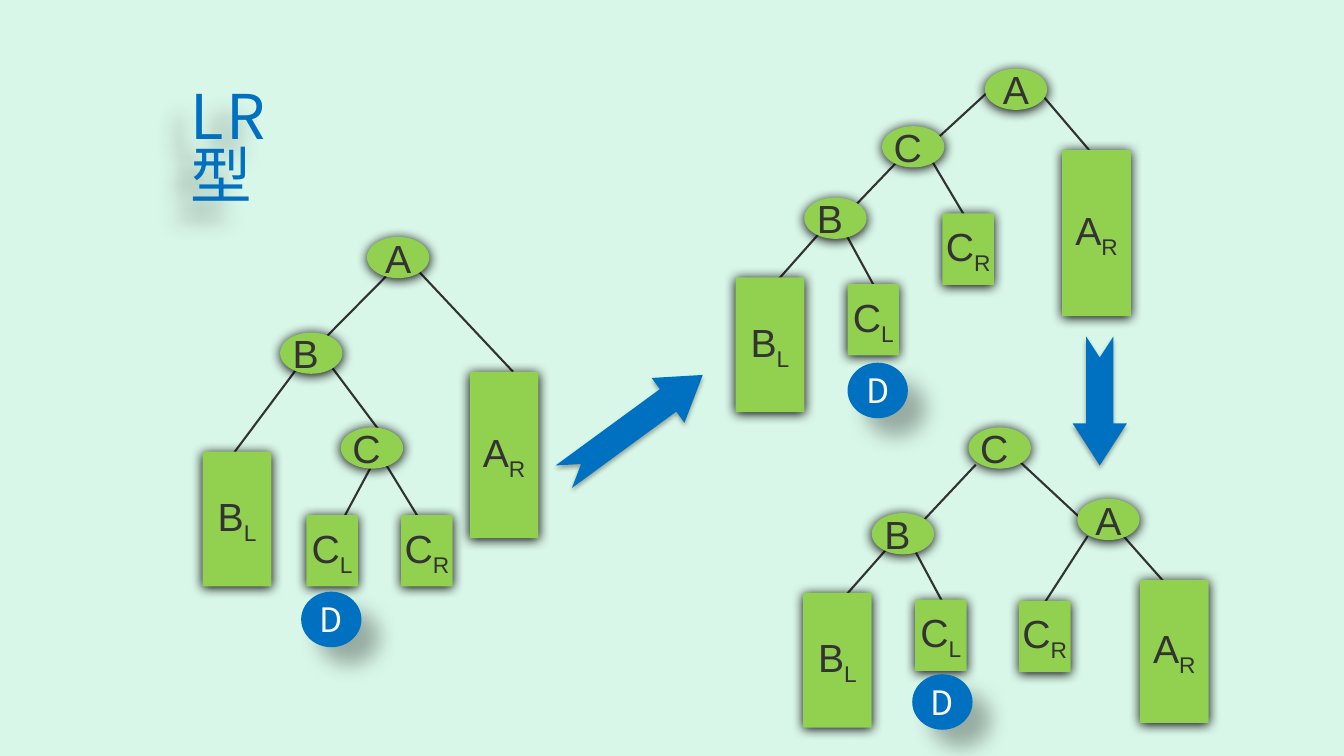
from lxml.etree import SubElement
from pptx import Presentation
from pptx.dml.color import RGBColor
from pptx.enum.shapes import MSO_CONNECTOR, MSO_SHAPE
from pptx.enum.text import MSO_ANCHOR, PP_ALIGN
from pptx.oxml.ns import qn
from pptx.util import Cm, Pt

COLORS = {"bg": "D9F7E9", "blue": "0070C0", "green": "92D050",
          "dark": "333333", "white": "FCF7F7", "shadow": "000000"}
CJK = "Noto Sans CJK SC"

NODE_SHADOW = (100, 8.5, 1, 90)
NEW_SHADOW = (30, 15, 18, 45)
TITLE_SHADOW = (30, 15, 20, 135)
ARROW_SHADOW = (32, 3.5, 2.2, 90)

SUBTREE_SIZES = {"BL": (1.73, 3.4), "AR": (1.73, 4.19),
                 "CL": (1.3, 1.8), "CR": (1.3, 1.8)}

TREES = [
    {"edges": [(10.11, 6.58, 8.15, 8.56), (7.72, 8.97, 5.77, 11.58),
               (8.15, 8.97, 9.65, 10.97), (10.31, 6.58, 12.93, 9.37),
               (9.45, 11.58, 8.59, 13.18), (9.65, 11.58, 10.74, 13.36)],
     "nodes": {"A": (9.25, 5.97), "B ": (7.06, 8.38), "C ": (8.59, 10.77)},
     "subtrees": {"BL": (5.11, 11.38), "CL": (7.72, 12.98),
                  "AR": (11.84, 9.37), "CR": (10.11, 12.98)},
     "new": (7.59, 14.91)},
    {"edges": [(25.48, 1.78, 23.52, 3.58), (25.91, 1.98, 28.3, 4.78),
               (21.13, 5.56, 22.45, 7.98), (20.93, 5.56, 18.97, 7.77),
               (22.89, 3.78, 21.36, 5.38), (23.32, 3.78, 24.38, 5.56)],
     "nodes": {"A": (24.82, 1.73), "B ": (20.27, 4.98), "C ": (22.23, 3.18)},
     "subtrees": {"BL": (18.54, 6.99), "CL": (21.36, 7.16),
                  "AR": (26.77, 3.78), "CR": (23.75, 5.38)},
     "new": (21.36, 9.14)},
    {"edges": [(27.86, 13, 29.82, 15.21), (25.48, 11.43, 27.2, 13.03),
               (24.59, 11.71, 23.06, 13.34), (22.63, 13.51, 20.68, 15.72),
               (22.86, 13.51, 24.16, 15.93), (27.41, 13.51, 26.11, 15.52)],
     "nodes": {"A": (27.15, 12.57), "B ": (21.97, 12.93), "C ": (24.41, 10.77)},
     "subtrees": {"BL": (20.24, 14.94), "CL": (23.06, 15.11),
                  "AR": (28.73, 14.61), "CR": (25.68, 15.14)},
     "sizes": {"AR": (1.73, 3.61)},
     "new": (22.99, 16.99)},
]


def rgb(name):
    return RGBColor.from_string(COLORS[name])


def add_text(p, text, size=28, font="Arial", color="dark", subscript=False, spacing=0):
    r = p.add_run()
    r.text = text
    r.font.size = Pt(size)
    r.font.name = font
    r.font.color.rgb = rgb(color)
    rPr = r.font._element
    SubElement(rPr, qn("a:ea"), typeface=font)
    if subscript:
        rPr.set("baseline", "-25000")
    if spacing:
        rPr.set("spc", str(spacing * 100))


class TreeSlide:
    def __init__(self, prs):
        self.s = prs.slides.add_slide(prs.slide_layouts[6])
        fill = self.s.background.fill
        fill.solid()
        fill.fore_color.rgb = rgb("bg")

    def shadow(self, sp, alpha, blur, dist, angle):
        sp.shadow.inherit = False
        effects = sp._element.spPr.find(qn("a:effectLst"))
        outer = SubElement(effects, qn("a:outerShdw"), blurRad=str(Pt(blur)),
                           dist=str(Pt(dist)), dir=str(angle * 60000),
                           algn="ctr", rotWithShape="0")
        clr = SubElement(outer, qn("a:srgbClr"), val=COLORS["shadow"])
        SubElement(clr, qn("a:alpha"), val=str(alpha * 1000))

    def shape(self, kind, x, y, w, h, fill, shadow):
        sp = self.s.shapes.add_shape(kind, Cm(x), Cm(y), Cm(w), Cm(h))
        sp.fill.solid()
        sp.fill.fore_color.rgb = rgb(fill)
        sp.line.fill.background()
        self.shadow(sp, *shadow)
        return sp

    def title(self, text, x, y, w, h):
        sp = self.s.shapes.add_textbox(Cm(x), Cm(y), Cm(w), Cm(h))
        self.shadow(sp, *TITLE_SHADOW)
        tf = sp.text_frame
        tf.word_wrap = True
        tf.vertical_anchor = MSO_ANCHOR.BOTTOM
        p = tf.paragraphs[0]
        p.line_spacing = 0.8
        add_text(p, text, size=44, font=CJK, color="blue", spacing=2)

    def edge(self, x1, y1, x2, y2):
        c = self.s.shapes.add_connector(MSO_CONNECTOR.STRAIGHT,
                                        Cm(x1), Cm(y1), Cm(x2), Cm(y2))
        c.line.color.rgb = rgb("dark")
        c.line.width = Pt(1.5)
        SubElement(c._element.spPr, qn("a:effectLst"))

    def label(self, sp, text, subscript=""):
        tf = sp.text_frame
        tf.word_wrap = False
        tf.vertical_anchor = MSO_ANCHOR.MIDDLE
        p = tf.paragraphs[0]
        p.alignment = PP_ALIGN.CENTER
        add_text(p, text)
        if subscript:
            add_text(p, subscript, subscript=True)

    def node(self, text, x, y):
        sp = self.shape(MSO_SHAPE.OVAL, x, y, 1.57, 1.04, "green", NODE_SHADOW)
        self.label(sp, text)

    def subtree(self, name, x, y, w, h):
        sp = self.shape(MSO_SHAPE.RECTANGLE, x, y, w, h, "green", NODE_SHADOW)
        self.label(sp, *name)

    def new_node(self, text, x, y):
        sp = self.shape(MSO_SHAPE.OVAL, x, y, 1.52, 1.4, "blue", NEW_SHADOW)
        tf = sp.text_frame
        tf.word_wrap = True
        tf.vertical_anchor = MSO_ANCHOR.MIDDLE
        p = tf.paragraphs[0]
        p.alignment = PP_ALIGN.LEFT
        add_text(p, text, size=24, font=CJK, color="white")

    def arrow(self, x, y, w, h, rotation):
        sp = self.shape(MSO_SHAPE.NOTCHED_RIGHT_ARROW, x, y, w, h, "blue", ARROW_SHADOW)
        sp.adjustments[0] = 0.5
        sp.adjustments[1] = 0.774
        sp.rotation = rotation

    def tree(self, edges, nodes, subtrees, new, sizes={}):
        for ends in edges:
            self.edge(*ends)
        for text, pos in nodes.items():
            self.node(text, *pos)
        for name, pos in subtrees.items():
            self.subtree(name, *pos, *sizes.get(name, SUBTREE_SIZES[name]))
        self.new_node("D", *new)


def main():
    prs = Presentation()
    prs.slide_width, prs.slide_height = Cm(33.87), Cm(19.05)
    slide = TreeSlide(prs)
    slide.title("LR型", 4.55, 3.3, 3.91, 2.13)
    for tree in TREES:
        slide.tree(**tree)
    slide.arrow(13.79, 10.03, 4.34, 1.4, 323.8)
    slide.arrow(26.09, 9.42, 3.25, 1.37, 90)
    prs.save("out.pptx")


if __name__ == "__main__":
    main()
